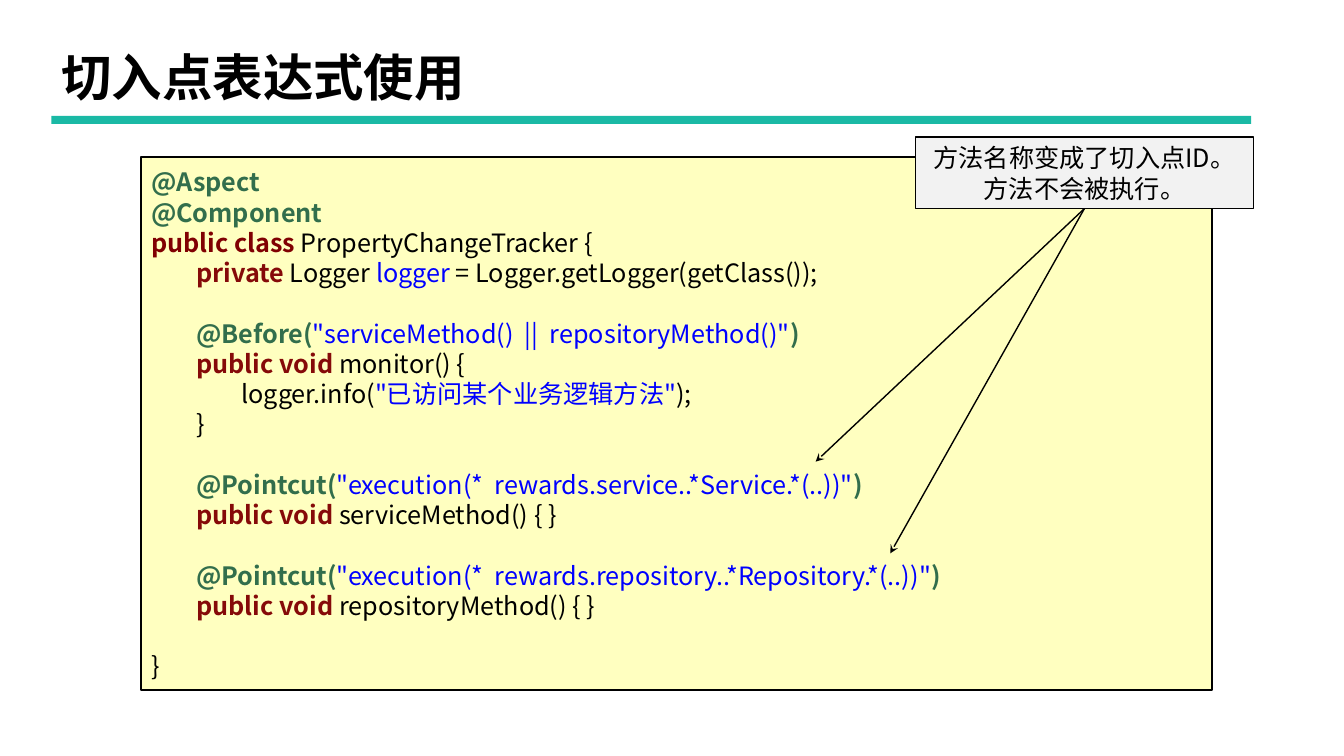
from lxml.etree import SubElement
from pptx import Presentation
from pptx.dml.color import RGBColor
from pptx.enum.shapes import MSO_CONNECTOR as CONN, MSO_SHAPE as SHAPE
from pptx.enum.text import MSO_ANCHOR as ANCHOR, PP_ALIGN as ALIGN
from pptx.oxml.ns import qn
from pptx.util import Inches, Pt

FONT = "Noto Sans CJK SC"
COLORS = {
    "black": "000000", "teal": "1AB9A5", "cream": "FFFFC0", "grey": "F2F2F2",
    "green": "326E4C", "maroon": "800002", "red": "850A09", "blue": "0000FF",
}
BOLD = {"green", "maroon", "red"}
LINE = 21.6  # line pitch of 18 pt text
TAB = ("black", " " * 8)


def rgb(name):
    return RGBColor.from_string(COLORS[name])


def add_run(p, text, size=18, color="black", bold=False):
    r = p.add_run()
    r.text = text
    f = r.font
    f.name, f.size, f.bold = FONT, Pt(size), bold
    f.color.rgb = rgb(color)
    SubElement(r._r.get_or_add_rPr(), qn("a:ea"), typeface=FONT)


class Deck:
    """Lengths are percentages of the slide's width and height."""

    def __init__(self):
        self.prs = Presentation()
        self.prs.slide_width, self.prs.slide_height = Inches(13.33), Inches(7.5)
        self.s = self.prs.slides.add_slide(self.prs.slide_layouts[6])

    def x(self, share):
        return round(self.prs.slide_width * share / 100)

    def y(self, share):
        return round(self.prs.slide_height * share / 100)

    def area(self, left, top, width, height):
        return self.x(left), self.y(top), self.x(width), self.y(height)

    def fill_text(self, sp, blocks, align=ALIGN.LEFT, spacing=Pt(LINE), **fmt):
        """Blocks hold lines, lines hold (colour, text) runs."""
        tf = sp.text_frame
        tf.word_wrap, tf.vertical_anchor = True, ANCHOR.MIDDLE
        p = None
        for block in blocks:
            for i, line in enumerate(block):
                gap = p is not None and i == 0
                p = tf.paragraphs[0] if p is None else tf.add_paragraph()
                p.alignment, p.line_spacing = align, spacing
                if gap:
                    p.space_before = Pt(LINE)
                for color, text in line:
                    add_run(p, text, **{"color": color, "bold": color in BOLD, **fmt})

    def title(self, text, *area):
        sp = self.s.shapes.add_textbox(*self.area(*area))
        self.fill_text(sp, [[[("black", text)]]], spacing=0.9, size=36, bold=True)

    def box(self, *area, fill, line=None, kind=SHAPE.RECTANGLE):
        sp = self.s.shapes.add_shape(kind, *self.area(*area))
        sp.shadow.inherit = False
        sp.fill.solid()
        sp.fill.fore_color.rgb = rgb(fill)
        if line:
            sp.line.color.rgb = rgb("black")
            sp.line.width = Pt(line)
        else:
            sp.line.fill.background()
        return sp

    def arrow(self, sp, left, top):
        """Arrow from the bottom of a shape to a point."""
        c = self.s.shapes.add_connector(CONN.STRAIGHT, 0, 0, self.x(left), self.y(top))
        c.begin_connect(sp, 2)
        c.line.color.rgb = rgb("black")
        c.line.width = Pt(1)
        SubElement(c.line._get_or_add_ln(), qn("a:tailEnd"), type="stealth")
        SubElement(c._element.spPr, qn("a:effectLst"))


def annotation(name, value):
    return [TAB, ("green", f"@{name}("), ("blue", f'"{value}"'), ("green", ")")]


def method(signature):
    return [TAB, ("red", "public void "), ("black", signature)]


CODE = [
    [
        [("green", "@Aspect")],
        [("green", "@Component")],
        [("maroon", "public class "), ("black", "PropertyChangeTracker {")],
        [TAB, ("red", "private "), ("black", "Logger "), ("blue", "logger"),
         ("black", " = Logger.getLogger(getClass());")],
    ],
    [
        annotation("Before", "serviceMethod()  ||  repositoryMethod()"),
        method("monitor() {"),
        [TAB, TAB, ("black", "logger.info("), ("blue", '"已访问某个业务逻辑方法"'),
         ("black", ");")],
        [TAB, ("black", "}")],
    ],
    [
        annotation("Pointcut", "execution(*  rewards.service..*Service.*(..))"),
        method("serviceMethod() { }"),
    ],
    [
        annotation("Pointcut", "execution(*  rewards.repository..*Repository.*(..))"),
        method("repositoryMethod() { }"),
    ],
    [[("black", "}")]],
]
NOTE = [[[("black", "方法名称变成了切入点ID。")], [("black", "方法不会被执行。")]]]


def main():
    deck = Deck()

    # Heading
    deck.box(3.83, 15.33, 89.27, 1.07, fill="teal")
    deck.title("切入点表达式使用", 3.83, 5.07, 86.27, 11.2)

    # Code panel
    panel = deck.box(10.5, 20.8, 79.67, 70.53, fill="cream", line=1.5)
    deck.fill_text(panel, CODE)

    # Callout with arrows to the pointcuts
    callout = deck.box(68.12, 18.13, 25.13, 9.47, fill="grey", line=1,
                       kind=SHAPE.ROUNDED_RECTANGLE)
    callout.adjustments[0] = 0
    deck.fill_text(callout, NOTE, align=ALIGN.CENTER)
    for tip in ((60.69, 61.07), (66.24, 73.2)):
        deck.arrow(callout, *tip)

    deck.prs.save("out.pptx")


if __name__ == "__main__":
    main()
